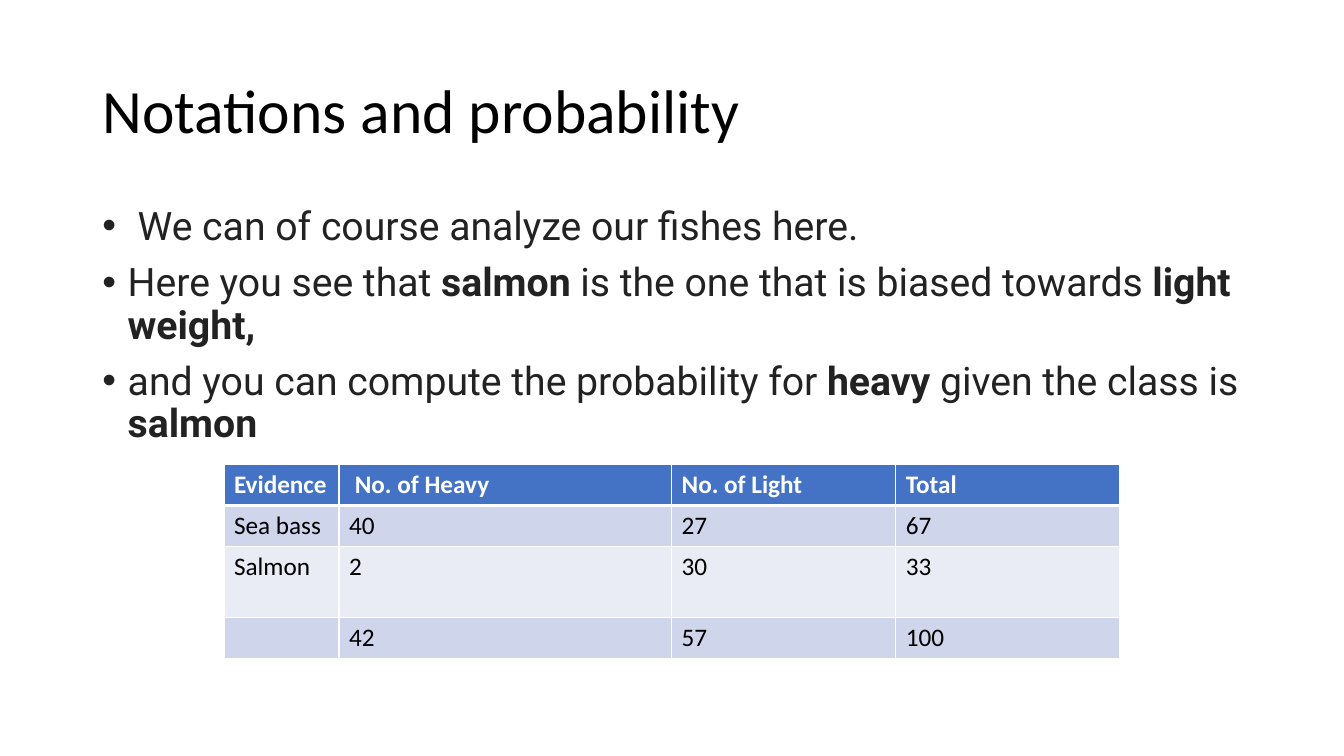
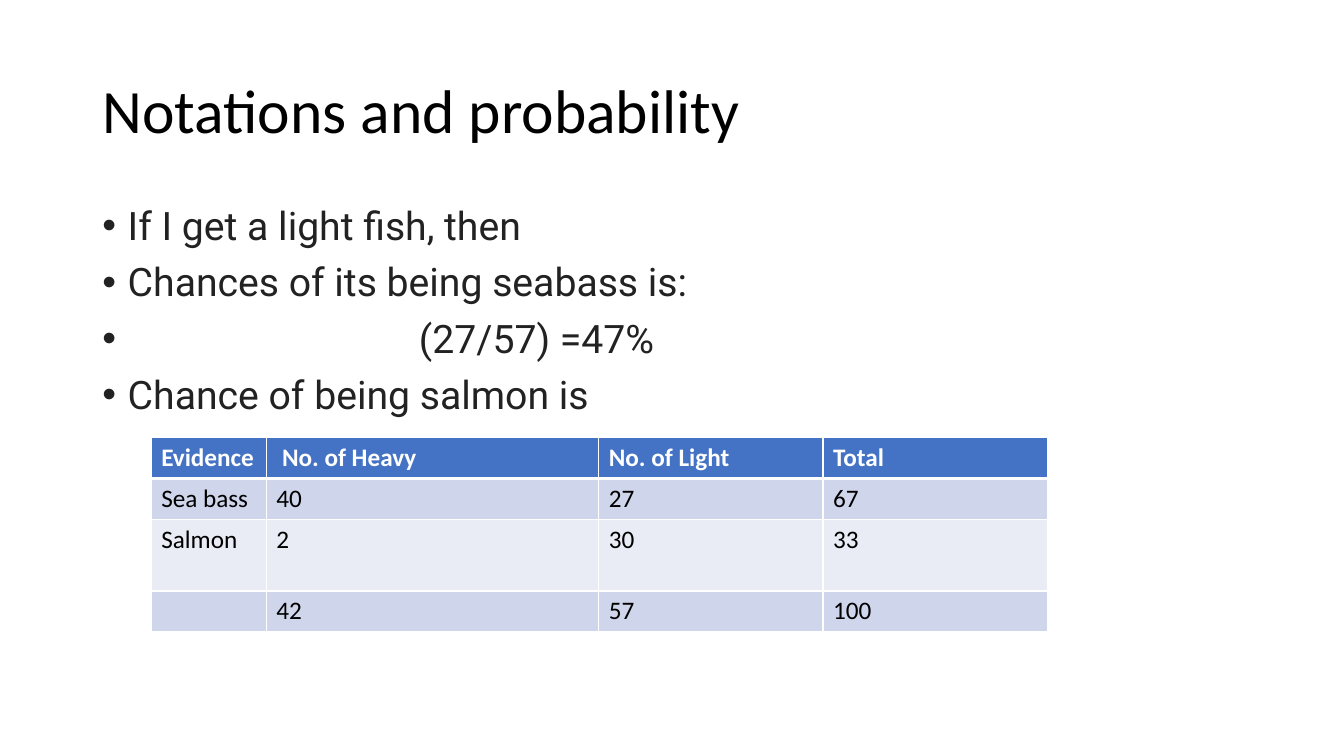
"""Build two slides on fish counts and the probabilities read from them."""
from dataclasses import dataclass

from lxml import etree
from pptx import Presentation
from pptx.dml.color import RGBColor
from pptx.enum import text
from pptx.oxml import ns
from pptx.util import Cm, Pt


@dataclass(frozen=True)
class Theme:
    """Colours, fonts and type sizes shared by the slides."""
    title_font: str = "Calibri"
    body_font: str = "Roboto"
    title_size: int = 44
    body_size: int = 28
    cell_size: int = 18
    black: str = "000000"
    body: str = "222222"
    white: str = "FFFFFF"
    header: str = "4472C4"
    bands: tuple = ("CFD5EA", "E9EBF5")
    thin: int = 1
    thick: int = 3


THEME = Theme()
TITLE = "Notations and probability"
HANG = 0.64
SLIDE_WIDTH, SLIDE_HEIGHT = 33.87, 19.05
TEXT_LEFT, TEXT_WIDTH = 2.33, 29.21
COLUMNS = (2.9, 8.38, 5.65, 5.65)
ROWS = (1.03, 1.03, 1.8, 1.03)

EVIDENCE = (
    ("Evidence", " No. of Heavy", "No. of Light", "Total"),
    ("Sea bass", "40", "27", "67"),
    ("Salmon", "2", "30", "33"),
    ("", "42", "57", "100"),
)

# Each bullet is (hanging indent, text); text between bars is bold.
SLIDES = (
    {
        "bullets": (
            (0.89, "We can of course analyze our fishes here."),
            (HANG, "Here you see that |salmon |is the one that is biased "
                   "towards |light weight,|"),
            (HANG, "and you can compute the probability for |heavy |given "
                   "the class is |salmon|"),
        ),
        "table_at": ((SLIDE_WIDTH - sum(COLUMNS)) / 2, 11.71),
    },
    {
        "bullets": (
            (HANG, "If I get a light fish, then"),
            (HANG, "Chances of its being seabass is:"),
            (7.98, "(27/57) =47%"),
            (HANG, "Chance of being salmon is"),
        ),
        "table_at": (3.81, 11.03),
    },
)


def style(span, font, size, color, bold=False):
    """Format one run."""
    span.font.name = font
    span.font.size = Pt(size)
    span.font.color.rgb = RGBColor.from_string(color)
    span.font.bold = bold


def place(shape, left, top, width, height):
    """Move and size a shape, in centimetres."""
    shape.left, shape.top = Cm(left), Cm(top)
    shape.width, shape.height = Cm(width), Cm(height)


def add_title(page):
    """Fill and format the title placeholder."""
    box = page.shapes.title
    place(box, TEXT_LEFT, 1.01, TEXT_WIDTH, 3.68)
    frame = box.text_frame
    frame.text = TITLE
    frame.vertical_anchor = text.MSO_ANCHOR.MIDDLE
    para = frame.paragraphs[0]
    para.alignment = text.PP_ALIGN.LEFT
    para.line_spacing = 0.9
    style(para.runs[0], THEME.title_font, THEME.title_size, THEME.black)


def add_bullet(para, hang, content):
    """Write one bulleted paragraph with a hanging indent."""
    para.line_spacing = 0.9
    para.space_before = Pt(10)
    for index, piece in enumerate(content.split("|")):
        if piece:
            span = para.add_run()
            span.text = piece
            style(span, THEME.body_font, THEME.body_size, THEME.body, index % 2 == 1)
    props = para._p.get_or_add_pPr()
    props.set("marL", str(Cm(hang)))
    props.set("indent", str(-Cm(hang)))
    etree.SubElement(props, ns.qn("a:buFont"), typeface="Arial")
    etree.SubElement(props, ns.qn("a:buChar"), char="•")


def add_bullets(page, bullets):
    """Add the body text."""
    box = page.shapes.add_textbox(Cm(TEXT_LEFT), Cm(5.08), Cm(TEXT_WIDTH), Cm(6.4))
    frame = box.text_frame
    frame.word_wrap = True
    for index, (hang, content) in enumerate(bullets):
        para = frame.add_paragraph() if index else frame.paragraphs[0]
        add_bullet(para, hang, content)


def add_borders(cell, row):
    """Draw white cell borders, thick under the header."""
    props = cell._tc.get_or_add_tcPr()
    for side in "LRTB":
        under_header = (row, side) in ((0, "B"), (1, "T"))
        width = Pt(THEME.thick if under_header else THEME.thin)
        line = etree.SubElement(props, ns.qn("a:ln" + side), w=str(width))
        fill = etree.SubElement(line, ns.qn("a:solidFill"))
        etree.SubElement(fill, ns.qn("a:srgbClr"), val=THEME.white)


def add_evidence(page, left, top):
    """Add the table of counts."""
    table = page.shapes.add_table(
        len(ROWS), len(COLUMNS), Cm(left), Cm(top), Cm(sum(COLUMNS)), Cm(sum(ROWS))
    ).table
    for column, width in zip(table.columns, COLUMNS):
        column.width = Cm(width)
    for row, (values, height) in enumerate(zip(EVIDENCE, ROWS)):
        table.rows[row].height = Cm(height)
        is_header = row == 0
        back = THEME.header if is_header else THEME.bands[(row - 1) % 2]
        color = THEME.white if is_header else THEME.black
        for col, value in enumerate(values):
            cell = table.cell(row, col)
            add_borders(cell, row)
            cell.fill.solid()
            cell.fill.fore_color.rgb = RGBColor.from_string(back)
            cell.text_frame.text = value
            for span in cell.text_frame.paragraphs[0].runs:
                style(span, THEME.title_font, THEME.cell_size, color, is_header)


def main():
    """Build and save the deck."""
    deck = Presentation()
    deck.slide_width, deck.slide_height = Cm(SLIDE_WIDTH), Cm(SLIDE_HEIGHT)
    for content in SLIDES:
        page = deck.slides.add_slide(deck.slide_layouts[5])
        add_title(page)
        add_bullets(page, content["bullets"])
        add_evidence(page, *content["table_at"])
    deck.save("out.pptx")


if __name__ == "__main__":
    main()
